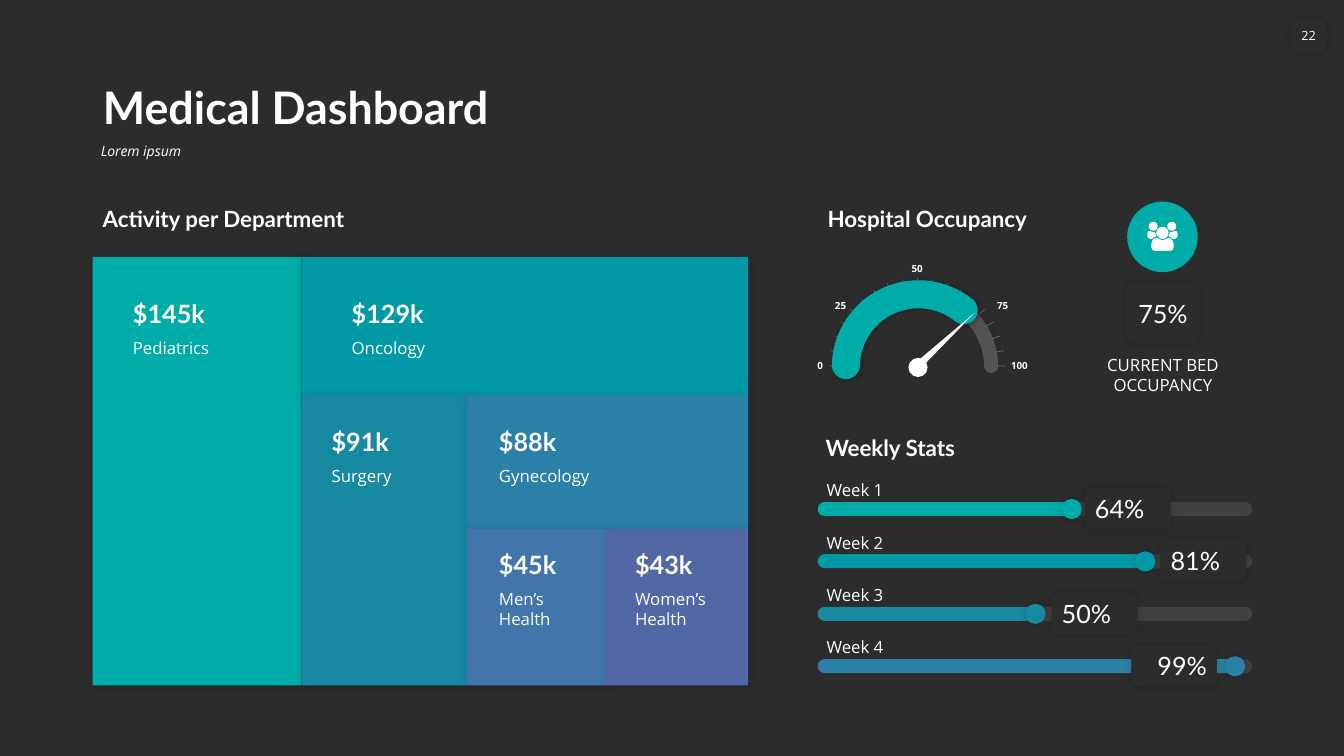
import math
from lxml import etree
from pptx import Presentation, util as u
from pptx.dml.color import RGBColor
from pptx.enum import shapes, text
from pptx.oxml import ns


class Theme:
    back, white, black = "2C2C2C", "FFFFFF", "000000"
    teal, cyan, sea, blue, steel, plum = "00ACA8", "0099A5", "178AA1", "2A80A6", "4276AA", "5268A5"
    head, body = "Lato", "Open Sans"
    title, lead, sum, name, note, page, tick = 32, 16, 18, 12, 10, 9, 7
    # shadows: opacity in percent, blur and distance in points
    soft, flat, deep = (20, 5, 0), (15, 6, 1), (30, 3, 1)


KIND = shapes.MSO_SHAPE
LINE = shapes.MSO_CONNECTOR.STRAIGHT
LEFT, MID, RIGHT = text.PP_ALIGN.LEFT, text.PP_ALIGN.CENTER, text.PP_ALIGN.RIGHT
TOP, CORE, LOW = text.MSO_ANCHOR.TOP, text.MSO_ANCHOR.MIDDLE, text.MSO_ANCHOR.BOTTOM

deck = Presentation()
deck.slide_width, deck.slide_height = u.Inches(13.33), u.Inches(7.5)
page = deck.slides.add_slide(deck.slide_layouts[1])
page.background.fill.solid()
page.background.fill.fore_color.rgb = RGBColor.from_string(Theme.back)


def draw(kind, spot, fill=None, line=None, wide=0, clear=100, shade=None):
    """Add a preset shape at (left, top, width, height), or a line from (x, y) to (x, y)."""
    spot = [u.Inches(v) for v in spot]
    if kind is LINE:
        item = page.shapes.add_connector(kind, *spot)
    else:
        item = page.shapes.add_shape(kind, *spot)
        if fill:
            item.fill.solid()
            item.fill.fore_color.rgb = RGBColor.from_string(fill)
        else:
            item.fill.background()
    if line:
        item.line.color.rgb = RGBColor.from_string(line)
        item.line.width = u.Pt(wide)
        edge = item._element.spPr.find(ns.qn("a:ln"))
        edge.set("cap", "rnd" if wide > 1 else "flat")
        if clear < 100:
            tint = edge.find(".//" + ns.qn("a:srgbClr"))
            etree.SubElement(tint, ns.qn("a:alpha"), val=str(clear * 1000))
    else:
        item.line.fill.background()
    fx = etree.SubElement(item._element.spPr, ns.qn("a:effectLst"))
    if shade:
        dark, blur, dist = shade
        cast = etree.SubElement(fx, ns.qn("a:outerShdw"), blurRad=str(u.Pt(blur)),
                                dist=str(u.Pt(dist)), dir="2700000", algn="tl", rotWithShape="0")
        tint = etree.SubElement(cast, ns.qn("a:srgbClr"), val=Theme.black)
        etree.SubElement(tint, ns.qn("a:alpha"), val=str(dark * 1000))
    return item


def say(box, words, face, size, bold=False, align=LEFT, anchor=TOP, pad=0.1, wrap=True):
    """Write white text in a shape, or in a new text box when box is a tuple of inches."""
    if isinstance(box, tuple):
        box = page.shapes.add_textbox(*[u.Inches(v) for v in box])
    frame = box.text_frame
    frame.text = words
    frame.word_wrap = wrap
    frame.auto_size = text.MSO_AUTO_SIZE.NONE
    frame.vertical_anchor = anchor
    frame.margin_left = frame.margin_right = u.Inches(pad)
    para = frame.paragraphs[0]
    para.alignment = align
    font = para.runs[0].font
    font.name, font.size, font.bold = face, u.Pt(size), bold
    font.color.rgb = RGBColor.from_string(Theme.white)
    return para


# Title, subtitle and page number
title, sub = page.placeholders
for hold, spot in ((title, (0.92, 0.58, 11.5, 0.8)), (sub, (0.9, 1.38, 11.52, 0.36))):
    hold.left, hold.top, hold.width, hold.height = [u.Inches(v) for v in spot]
say(title, "Medical Dashboard", Theme.head, Theme.title, True, anchor=LOW).line_spacing = 0.9
para = say(sub, "Lorem ipsum", Theme.body, Theme.note)
para.line_spacing, para.space_before = 0.9, u.Pt(10)
para.runs[0].font.italic = True
props = para._p.get_or_add_pPr()
props.set("marL", "0")
props.set("indent", "0")
etree.SubElement(props, ns.qn("a:buNone"))
badge = draw(KIND.ROUNDED_RECTANGLE, (12.8, 0.18, 0.36, 0.35), Theme.back, shade=Theme.soft)
badge.adjustments[0] = 0.27
say(badge, "22", Theme.body, Theme.page, align=MID, anchor=CORE, pad=0, wrap=False)

for left, top, words in ((0.92, 1.98, "Activity per Department"),
                         (8.11, 1.98, "Hospital Occupancy"), (8.09, 4.25, "Weekly Stats")):
    say((left, top, 4.34, 0.37), words, Theme.head, Theme.lead, True, anchor=LOW)

# Department tiles: tile, colour, text left, top, width and height, sum, name
tiles = (
    ((0.92, 2.55, 2.07, 4.25), Theme.teal, 1.22, 2.91, 1.86, 0.3, "$145k", "Pediatrics"),
    ((2.99, 2.55, 4.43, 1.37), Theme.cyan, 3.39, 2.91, 1.86, 0.3, "$129k", "Oncology"),
    ((2.99, 3.92, 1.64, 2.88), Theme.sea, 3.19, 4.18, 1.29, 0.3, "$91k", "Surgery"),
    ((4.63, 3.92, 2.79, 1.34), Theme.blue, 4.85, 4.18, 2.09, 0.3, "$88k", "Gynecology"),
    ((4.63, 5.25, 1.39, 1.55), Theme.steel, 4.85, 5.4, 1.05, 0.5, "$45k", "Men’s Health"),
    ((6.01, 5.25, 1.41, 1.55), Theme.plum, 6.2, 5.4, 1.05, 0.5, "$43k", "Women’s Health"),
)
for spot, fill, left, top, wide, high, total, name in tiles:
    draw(KIND.RECTANGLE, spot, fill, shade=Theme.flat)
    say((left, top, wide, 0.4), total, Theme.head, Theme.sum, True, anchor=LOW)
    say((left, top + 0.39, wide, high), name, Theme.body, Theme.name)

# Occupancy gauge: arc angles in degrees, 0.6 per degree in adjustment units
ring = (8.39, 2.92, 1.44, 1.44)
rail = draw(KIND.ARC, ring, line=Theme.white, wide=10, clear=20, shade=Theme.deep)
rail.adjustments[0], rail.adjustments[1] = 179.5 * 0.6, 359.3 * 0.6
draw(KIND.OVAL, (9.01, 3.55, 0.19, 0.19), Theme.white)
for step in range(19):
    turn = math.radians(180 + 10 * step)
    ends = [v for r in (0.87, 0.79)
            for v in (9.1 + r * math.cos(turn), 3.63 + r * math.sin(turn))]
    draw(LINE, ends, line=Theme.white, wide=0.5, clear=30)
for left, top, wide, align, mark in (
        (8, 3.52, 0.26, RIGHT, "0"), (8.18, 2.92, 0.31, RIGHT, "25"),
        (8.94, 2.55, 0.31, RIGHT, "50"), (9.79, 2.92, 0.31, LEFT, "75"),
        (9.93, 3.52, 0.45, LEFT, "100")):
    say((left, top, wide, 0.22), mark, Theme.body, Theme.tick, True, align, CORE, wrap=False)
used = draw(KIND.ARC, ring, line=Theme.teal, wide=20, shade=Theme.deep)
used.adjustments[0], used.adjustments[1] = 181.3 * 0.6, 308.7 * 0.6
hand = draw(KIND.ISOSCELES_TRIANGLE, (9.33, 2.97, 0.08, 0.82), Theme.white)
hand.rotation = 47

# Current bed occupancy
rate = draw(KIND.ROUNDED_RECTANGLE, (11.17, 2.8, 0.73, 0.61), Theme.back, shade=Theme.soft)
say(rate, "75%", Theme.head, Theme.sum, align=MID, anchor=CORE, pad=0)
say((10.8, 3.47, 1.47, 0.5), "CURRENT BED OCCUPANCY", Theme.body, Theme.name, align=MID, pad=0.04)
draw(KIND.OVAL, (11.18, 2, 0.7, 0.7), Theme.teal)

# People icon, in thousandths of an inch, mirrored about its middle
axis = 11530
torso = [(0, 2490), (70, 2490), (100, 2480), (112, 2450), (110, 2420),
         (100, 2385), (80, 2365), (55, 2360), (30, 2375), (0, 2382)]
arm = [(60, 2345), (75, 2300), (95, 2303), (125, 2292), (140, 2292),
       (150, 2315), (150, 2345), (140, 2362), (120, 2370), (100, 2370), (85, 2354)]
rings = [torso + [(-x, y) for x, y in torso[::-1]], arm, [(-x, y) for x, y in arm]]
for x, y, r in ((0, 2310, 60), (-92, 2245, 44), (92, 2245, 44)):
    rings.append([(x + r * math.cos(math.radians(a)), y + r * math.sin(math.radians(a)))
                  for a in range(0, 360, 15)])
pen = page.shapes.build_freeform(axis, 2490, scale=914.4)
for dots in rings:
    dots = [(axis + x, y) for x, y in dots]
    pen.move_to(*dots[0])
    pen.add_line_segments(dots[1:], close=True)
crowd = pen.convert_to_shape()
crowd.shadow.inherit = False
crowd.fill.solid()
crowd.fill.fore_color.rgb = RGBColor.from_string(Theme.white)
crowd.line.fill.background()

# Weekly sliders: colour, bar end, knob left, tag left, value, alignment
weeks = (
    (Theme.teal, 10.6, 10.53, 10.76, "64%", LEFT),
    (Theme.cyan, 11.26, 11.26, 11.51, "81%", LEFT),
    (Theme.sea, 10.17, 10.17, 10.43, "50%", LEFT),
    (Theme.blue, 12.27, 12.15, 11.22, "99%", RIGHT),
)
for row, (fill, end, knob, tag, rate, align) in enumerate(weeks):
    mid = 5.05 + 0.52 * row
    say((8.1, mid - 0.34, 1.94, 0.3), f"Week {row + 1}", Theme.body, Theme.name, anchor=LOW)
    draw(LINE, (8.18, mid, 12.35, mid), line=Theme.white, wide=10, clear=10)
    draw(LINE, (8.18, mid, end, mid), line=fill, wide=10)
    draw(KIND.OVAL, (knob, mid - 0.1, 0.2, 0.2), fill, shade=Theme.soft)
    box = draw(KIND.ROUNDED_RECTANGLE, (tag, mid - 0.21, 0.85, 0.41), Theme.back, shade=Theme.soft)
    say(box, rate, Theme.head, Theme.sum, align=align, anchor=CORE, pad=0.08)

deck.save("out.pptx")
